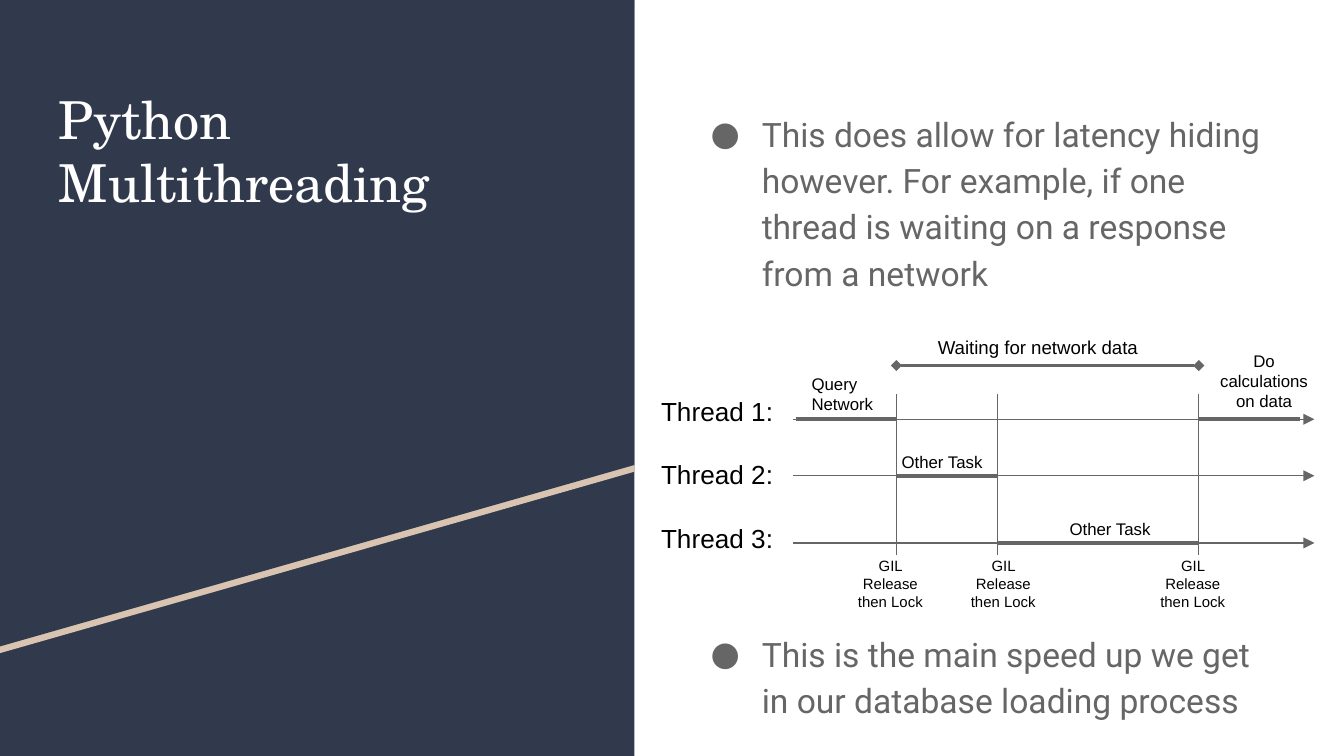
from dataclasses import dataclass

from lxml import etree
from pptx import Presentation
from pptx import util as u
from pptx.dml.color import RGBColor
from pptx.enum import shapes, text
from pptx.oxml import ns


@dataclass(frozen=True)
class Theme:
    navy: str = "31394D"
    tan: str = "D9C4B1"
    white: str = "FFFFFF"
    gray: str = "666666"
    black: str = "000000"
    title_font: str = "TeX Gyre Schola"
    body_font: str = "Roboto"
    label_font: str = "Arial"
    title: int = 28
    body: int = 18
    thread: int = 14
    span: int = 10
    task: int = 9
    lock: int = 8
    thin: float = 0.75
    medium: float = 1.5
    thick: float = 2.25


T = Theme()
W = 10
H = W * 9 / 16
PANEL_W = 0.472 * W

TITLE = "Python Multithreading"
BULLETS = [
    "This does allow for latency hiding however. For example, if one thread "
    "is waiting on a response from a network",
    "This is the main speed up we get in our database loading process",
]
THREADS = ["Thread 1:", "Thread 2:", "Thread 3:"]
LANES = [3.12, 3.54, 4.04]
COL_X, COL_W = 5.92, 0.75
TICKS = [1, 2, 4]
TASKS = [(0, 0, 1), (1, 1, 2), (2, 2, 3), (2, 3, 4), (0, 4, 5)]
TASK_LABELS = [
    ("Query Network", (5.94, 2.68, 0.83, 0.42), False),
    ("Other Task", (6.61, 3.26, 0.83, 0.3), False),
    ("Other Task", (7.86, 3.76, 0.83, 0.3), False),
    ("Do calculations on data", (8.94, 2.51, 0.93, 0.3), True),
]
LOCK = "GIL Release then Lock"
LOCK_X = [6.25, 7.09, 8.5]
SPAN = "Waiting for network data"
TICK_TOP, TICK_BOTTOM = 2.93, 4.13
SPAN_Y = 2.72


def col(n):
    return COL_X + n * COL_W


def paint(s, color):
    s.shadow.inherit = False
    s.fill.solid()
    s.fill.fore_color.rgb = RGBColor.from_string(color)
    s.line.fill.background()


def add_polygon(s, points, color):
    start, *rest = [(u.Inches(x), u.Inches(y)) for x, y in points]
    builder = s.shapes.build_freeform(*start)
    builder.add_line_segments(rest, close=True)
    paint(builder.convert_to_shape(), color)


def add_line(s, x1, y1, x2, y2, width, head=None, tail=None):
    c = s.shapes.add_connector(
        shapes.MSO_CONNECTOR.STRAIGHT, *map(u.Inches, (x1, y1, x2, y2)))
    c.line.color.rgb = RGBColor.from_string(T.gray)
    c.line.width = u.Pt(width)
    ln = c.line._get_or_add_ln()
    for tag, kind in (("a:headEnd", head), ("a:tailEnd", tail)):
        if kind:
            etree.SubElement(ln, ns.qn(tag), type=kind)
    etree.SubElement(c._element.spPr, ns.qn("a:effectLst"))


def add_bullet(p):
    pPr = p._p.get_or_add_pPr()
    pPr.set("marL", str(u.Inches(0.5)))
    pPr.set("indent", str(u.Inches(-0.38)))
    color = etree.SubElement(pPr, ns.qn("a:buClr"))
    etree.SubElement(color, ns.qn("a:srgbClr"), val=T.gray)
    etree.SubElement(pPr, ns.qn("a:buFont"), typeface=T.body_font)
    etree.SubElement(pPr, ns.qn("a:buChar"), char="●")


def add_text(s, lines, box, size, font=T.label_font, color=T.black,
             centered=False, gap=0, spacing=None, bullets=False):
    tf = s.shapes.add_textbox(*map(u.Inches, box)).text_frame
    tf.word_wrap = True
    tf.margin_left = tf.margin_right = tf.margin_top = u.Inches(0.1)
    tf.margin_bottom = 0
    tf.text = "\n".join(lines)
    for i, p in enumerate(tf.paragraphs):
        if spacing:
            p.line_spacing = spacing
        if i:
            p.space_before = u.Pt(gap)
        if bullets:
            add_bullet(p)
        if centered:
            p.alignment = text.PP_ALIGN.CENTER
        for r in p.runs:
            r.font.name = font
            r.font.size = u.Pt(size)
            r.font.color.rgb = RGBColor.from_string(color)


def add_panel(s):
    panel = s.shapes.add_shape(
        shapes.MSO_SHAPE.RECTANGLE, 0, 0, u.Inches(PANEL_W), u.Inches(H))
    paint(panel, T.navy)
    for top, color in ((0.05, T.tan), (0, T.navy)):
        add_polygon(s, [(0, top), (PANEL_W, top), (PANEL_W, top + 3.46),
                        (0, top + 4.81)], color)
    add_text(s, [TITLE], (0.34, 0.55, 4.05, 2.74), T.title,
             T.title_font, T.white)


def add_timeline(s):
    for y in LANES:
        add_line(s, 5.9, y, 9.78, y, T.thin, tail="triangle")
    add_text(s, THREADS, (4.82, 2.84, 1.19, 1.33), T.thread, gap=17.2)
    for n in TICKS:
        add_line(s, col(n), TICK_TOP, col(n), TICK_BOTTOM, T.thin)
    for lane, first, last in TASKS:
        y = LANES[lane]
        add_line(s, col(first), y, col(last), y, T.thick)
    for label, box, centered in TASK_LABELS:
        add_text(s, [label], box, T.task, centered=centered)
    for x in LOCK_X:
        add_text(s, [LOCK], (x, LANES[-1], COL_W, 0.54), T.lock, centered=True)
    add_line(s, col(1), SPAN_Y, col(4), SPAN_Y, T.medium, "diamond", "diamond")
    add_text(s, [SPAN], (6.88, 2.4, 2.12, 0.42), T.span)


def main():
    prs = Presentation()
    prs.slide_width, prs.slide_height = u.Inches(W), u.Inches(H)
    s = prs.slides.add_slide(prs.slide_layouts[6])
    add_panel(s)
    add_timeline(s)
    add_text(s, BULLETS, (5.07, 0.7, 4.56, 4.55), T.body, T.body_font, T.gray,
             gap=179.5, spacing=1.15, bullets=True)
    prs.save("out.pptx")


if __name__ == "__main__":
    main()
